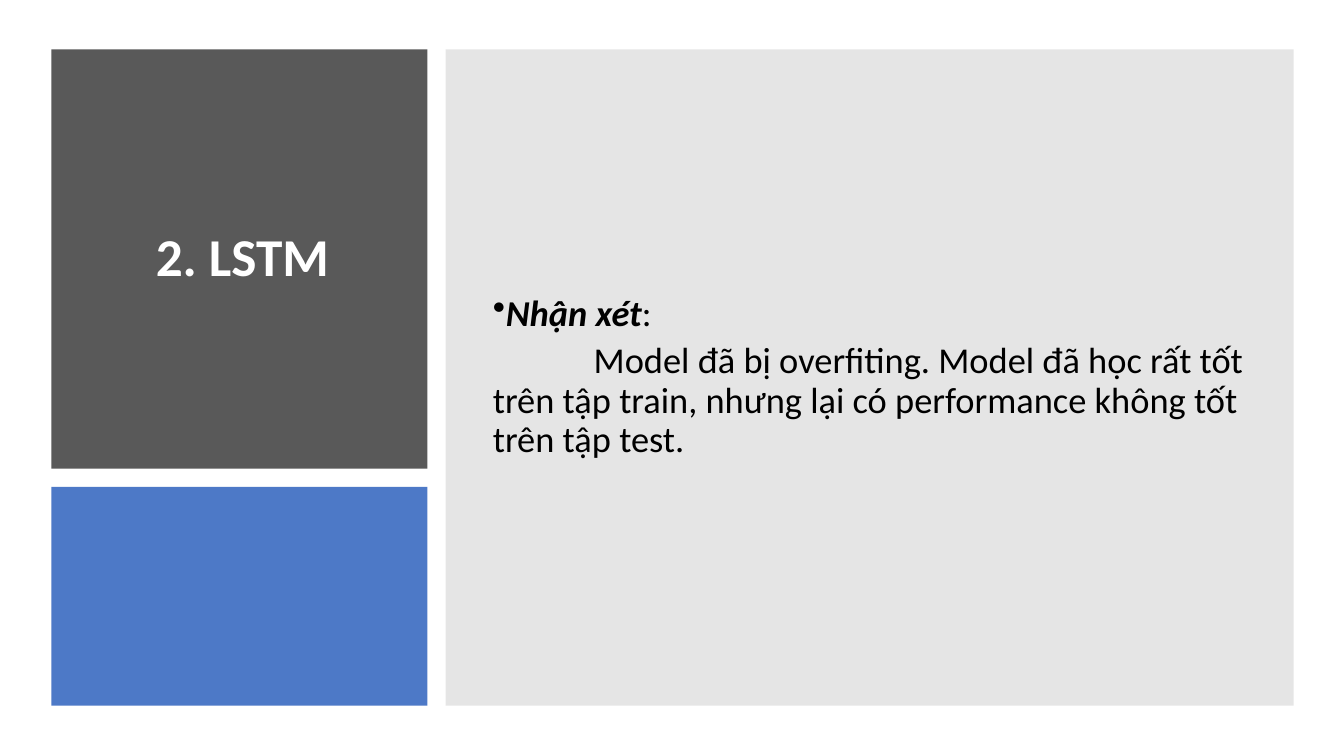
"""Build the LSTM remarks slide: a title panel, an accent panel and a text panel."""
from lxml.etree import SubElement
from pptx import Presentation
from pptx.dml.color import RGBColor
from pptx.enum.shapes import MSO_SHAPE
from pptx.enum.text import MSO_ANCHOR, MSO_AUTO_SIZE, PP_ALIGN
from pptx.oxml.ns import qn
from pptx.util import Inches, Pt

TITLE = "2. LSTM"
REMARK_LABEL = "Nhận xét"
REMARK = ("Model đã bị overfiting. Model đã học rất tốt trên tập train, "
          "nhưng lại có performance không tốt trên tập test.")

FONT = "Calibri"
LEFT, TOP, GAP = 0.51, 0.49, 0.18
SIDE_WIDTH, TITLE_HEIGHT, ACCENT_HEIGHT = 3.73, 4.16, 2.17
REMARK_WIDTH = 8.41
ACCENT_TOP = TOP + TITLE_HEIGHT + GAP
REMARK_LEFT = LEFT + SIDE_WIDTH + GAP
FULL_HEIGHT = TITLE_HEIGHT + GAP + ACCENT_HEIGHT

PANELS = [
    ((LEFT, TOP, SIDE_WIDTH, TITLE_HEIGHT), "595959", 100),
    ((LEFT, ACCENT_TOP, SIDE_WIDTH, ACCENT_HEIGHT), "4472C4", 95),
    ((REMARK_LEFT, TOP, REMARK_WIDTH, FULL_HEIGHT), "808080", 20),
]
TITLE_BOX = (0.85, 0.8, 3.11, 3.54)
REMARK_BOX = (4.79, 0.75, 7.7, 5.99)


def paint(color_owner, color):
    color_owner.rgb = RGBColor.from_string(color)


def add_panel(slide, box, color, opacity):
    panel = slide.shapes.add_shape(MSO_SHAPE.RECTANGLE, *map(Inches, box))
    panel.shadow.inherit = False
    panel.line.fill.background()
    panel.fill.solid()
    paint(panel.fill.fore_color, color)
    if opacity < 100:
        srgb = panel._element.spPr.find(".//" + qn("a:srgbClr"))
        SubElement(srgb, qn("a:alpha"), val=str(opacity * 1000))


def format_frame(frame):
    frame.word_wrap = True
    frame.auto_size = MSO_AUTO_SIZE.NONE
    frame.vertical_anchor = MSO_ANCHOR.MIDDLE


def format_paragraph(paragraph, size, color):
    paragraph.line_spacing = 0.9
    paragraph.space_before = Pt(0)
    paragraph.space_after = Pt(6)
    paragraph.font.name = FONT
    paragraph.font.size = Pt(size)
    paint(paragraph.font.color, color)


def indent_first_line(paragraph, inches):
    properties = paragraph._p.get_or_add_pPr()
    properties.set("marL", "0")
    properties.set("indent", str(Inches(inches)))
    return properties


def add_title(slide):
    title = slide.shapes.title
    title.left, title.top, title.width, title.height = map(Inches, TITLE_BOX)
    slide.shapes._spTree.append(title._element)
    title.text_frame.text = TITLE
    format_frame(title.text_frame)
    heading = title.text_frame.paragraphs[0]
    format_paragraph(heading, 38, "FFFFFF")
    heading.alignment = PP_ALIGN.CENTER
    heading.font.bold = True


def add_remark(slide):
    frame = slide.shapes.add_textbox(*map(Inches, REMARK_BOX)).text_frame
    format_frame(frame)
    label = frame.paragraphs[0]
    label_run = label.add_run()
    label_run.text = REMARK_LABEL
    label_run.font.bold = label_run.font.italic = True
    label.add_run().text = ":"
    body = frame.add_paragraph()
    body.text = REMARK
    for paragraph in (label, body):
        format_paragraph(paragraph, 26, "000000")
    bullet = indent_first_line(label, -0.25).makeelement(qn("a:buChar"), {"char": "•"})
    label._p.pPr.find(qn("a:defRPr")).addprevious(bullet)
    indent_first_line(body, 1)


def main():
    presentation = Presentation()
    presentation.slide_width = Inches(13.33)
    presentation.slide_height = Inches(7.5)
    slide = presentation.slides.add_slide(presentation.slide_layouts[5])
    for box, color, opacity in PANELS:
        add_panel(slide, box, color, opacity)
    add_title(slide)
    add_remark(slide)
    presentation.save("out.pptx")


if __name__ == "__main__":
    main()
